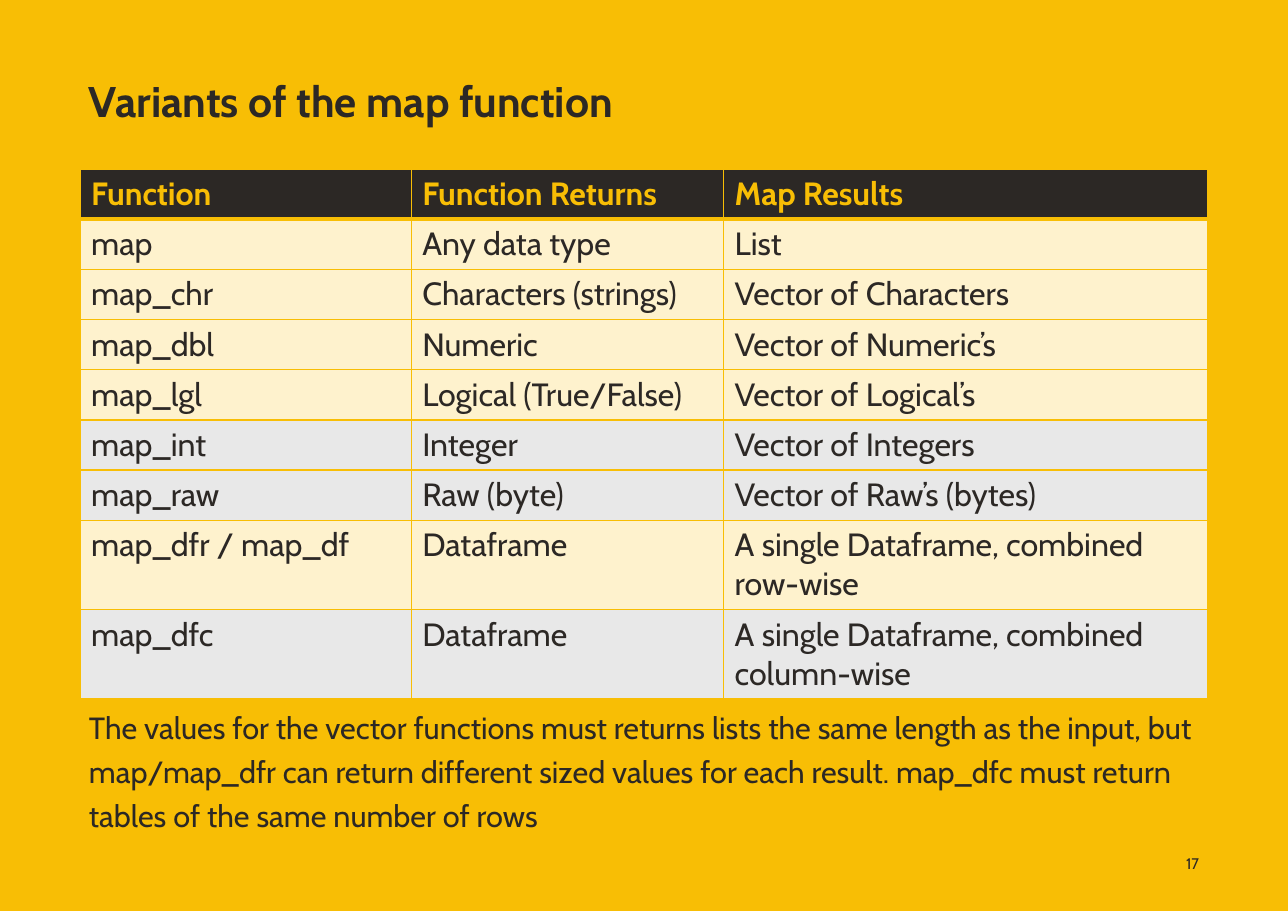
from dataclasses import dataclass

from lxml import etree
from pptx import Presentation
from pptx.dml.color import RGBColor
from pptx.enum.text import MSO_ANCHOR, MSO_AUTO_SIZE, PP_ALIGN
from pptx.oxml.ns import qn
from pptx.slide import Slide
from pptx.table import _Cell
from pptx.text.text import TextFrame, _Paragraph
from pptx.util import Inches, Pt

LEFT, RIGHT = PP_ALIGN.LEFT, PP_ALIGN.RIGHT
TOP, BOTTOM = MSO_ANCHOR.TOP, MSO_ANCHOR.BOTTOM
NO_AUTOFIT = MSO_AUTO_SIZE.NONE
WIDTH, HEIGHT = Inches(11.69), Inches(8.27)


@dataclass(frozen=True)
class Theme:
    font: str = "Cabin"
    yellow: str = "F8BE05"
    dark: str = "2C2825"
    cream: str = "FEF2CD"
    grey: str = "E8E8E8"
    title_size: int = 28
    table_size: int = 21
    body_size: int = 20
    number_size: int = 10
    inset: float = 0.08
    rule: int = 1
    header_rule: int = 3


@dataclass(frozen=True)
class Area:
    left: float
    top: float
    width: float
    height: float

    def in_slide(self) -> tuple[int, int, int, int]:
        return (
            int(WIDTH * self.left / 100),
            int(HEIGHT * self.top / 100),
            int(WIDTH * self.width / 100),
            int(HEIGHT * self.height / 100),
        )


@dataclass(frozen=True)
class Variant:
    function: str
    returns: str
    results: str
    fill: str
    height: float = 5.5

    def texts(self) -> tuple[str, str, str]:
        return self.function, self.returns, self.results


THEME = Theme()
TITLE_AREA = Area(6.22, 5.28, 87.6, 9.55)
TABLE_AREA = Area(6.22, 18.55, 87.55, 57.44)
BODY_AREA = Area(6.22, 76.06, 87.6, 16.81)
NUMBER_AREA = Area(87.02, 92.8, 6.76, 4.84)
COLUMN_SHARES = (29.37, 27.71, 42.92)
TALL_ROW = 9.79

HEADER = Variant("Function", "Function Returns", "Map Results", THEME.dark, 5.32)
VARIANTS = (
    Variant("map", "Any data type", "List", THEME.cream),
    Variant("map_chr", "Characters (strings)", "Vector of Characters", THEME.cream),
    Variant("map_dbl", "Numeric", "Vector of Numeric’s", THEME.cream),
    Variant("map_lgl", "Logical (True/False)", "Vector of Logical’s", THEME.cream),
    Variant("map_int", "Integer", "Vector of Integers", THEME.grey),
    Variant("map_raw", "Raw (byte)", "Vector of Raw’s (bytes)", THEME.grey),
    Variant("map_dfr / map_df", "Dataframe",
            "A single Dataframe, combined row-wise", THEME.cream, TALL_ROW),
    Variant("map_dfc", "Dataframe",
            "A single Dataframe, combined column-wise", THEME.grey, TALL_ROW),
)
BODY_TEXT = (
    "The values for the vector functions must returns lists the same length as "
    "the input, but map/map_dfr can return different sized values for each result. "
    "map_dfc must return tables of the same number of rows"
)


def style_paragraph(paragraph: _Paragraph, size: int, color: str, bold: bool = False) -> None:
    font = paragraph.font
    font.name = THEME.font
    font.size = Pt(size)
    font.bold = bold
    font.color.rgb = RGBColor.from_string(color)


def remove_bullet(paragraph: _Paragraph) -> None:
    properties = paragraph._p.get_or_add_pPr()
    properties.set("marL", "0")
    properties.set("indent", "0")
    etree.SubElement(properties, qn("a:buNone"))


def write_text(
    frame: TextFrame, text: str, size: int, anchor: MSO_ANCHOR = TOP,
    align: PP_ALIGN = LEFT, bold: bool = False,
) -> _Paragraph:
    frame.text = text
    frame.word_wrap = True
    frame.auto_size = NO_AUTOFIT
    frame.vertical_anchor = anchor
    frame.margin_left = frame.margin_right = Inches(THEME.inset)
    frame.margin_top = frame.margin_bottom = Inches(THEME.inset)
    paragraph = frame.paragraphs[0]
    remove_bullet(paragraph)
    paragraph.alignment = align
    paragraph.space_before = Pt(0)
    style_paragraph(paragraph, size, THEME.dark, bold)
    return paragraph


def add_title(page: Slide) -> None:
    title = page.shapes.title
    title.left, title.top, title.width, title.height = TITLE_AREA.in_slide()
    write_text(title.text_frame, "Variants of the map function",
               THEME.title_size, anchor=BOTTOM, bold=True)


def add_body(page: Slide) -> None:
    body = page.placeholders[1]
    body.left, body.top, body.width, body.height = BODY_AREA.in_slide()
    paragraph = write_text(body.text_frame, BODY_TEXT, THEME.body_size)
    paragraph.line_spacing = 1.2
    paragraph.space_after = Pt(10)


def add_number(page: Slide) -> None:
    box = page.shapes.add_textbox(*NUMBER_AREA.in_slide())
    write_text(box.text_frame, "17", THEME.number_size, align=RIGHT)


def set_borders(cell: _Cell, top: int, bottom: int) -> None:
    properties = cell._tc.get_or_add_tcPr()
    sides = {"lnL": THEME.rule, "lnR": THEME.rule, "lnT": top, "lnB": bottom}
    for position, (side, points) in enumerate(sides.items()):
        line = etree.Element(qn(f"a:{side}"), w=str(Pt(points)))
        fill = etree.SubElement(line, qn("a:solidFill"))
        etree.SubElement(fill, qn("a:srgbClr"), val=THEME.yellow)
        properties.insert(position, line)


def add_variants_table(page: Slide) -> None:
    rows = (HEADER, *VARIANTS)
    left, top, width, height = TABLE_AREA.in_slide()
    table = page.shapes.add_table(
        len(rows), len(COLUMN_SHARES), left, top, width, height).table
    table.horz_banding = False
    for column, share in zip(table.columns, COLUMN_SHARES):
        column.width = int(width * share / 100)
    for index, (row, variant) in enumerate(zip(table.rows, rows)):
        row.height = int(HEIGHT * variant.height / 100)
        is_header = index == 0
        color = THEME.yellow if is_header else THEME.dark
        top_rule = THEME.header_rule if index == 1 else THEME.rule
        bottom_rule = THEME.header_rule if is_header else THEME.rule
        for cell, text in zip(row.cells, variant.texts()):
            cell.text = text
            cell.fill.solid()
            cell.fill.fore_color.rgb = RGBColor.from_string(variant.fill)
            style_paragraph(cell.text_frame.paragraphs[0],
                            THEME.table_size, color, is_header)
            set_borders(cell, top_rule, bottom_rule)


def main() -> None:
    deck = Presentation()
    deck.slide_width, deck.slide_height = WIDTH, HEIGHT
    page = deck.slides.add_slide(deck.slide_layouts[1])
    page.background.fill.solid()
    page.background.fill.fore_color.rgb = RGBColor.from_string(THEME.yellow)
    add_title(page)
    add_body(page)
    add_number(page)
    add_variants_table(page)
    deck.save("out.pptx")


if __name__ == "__main__":
    main()
